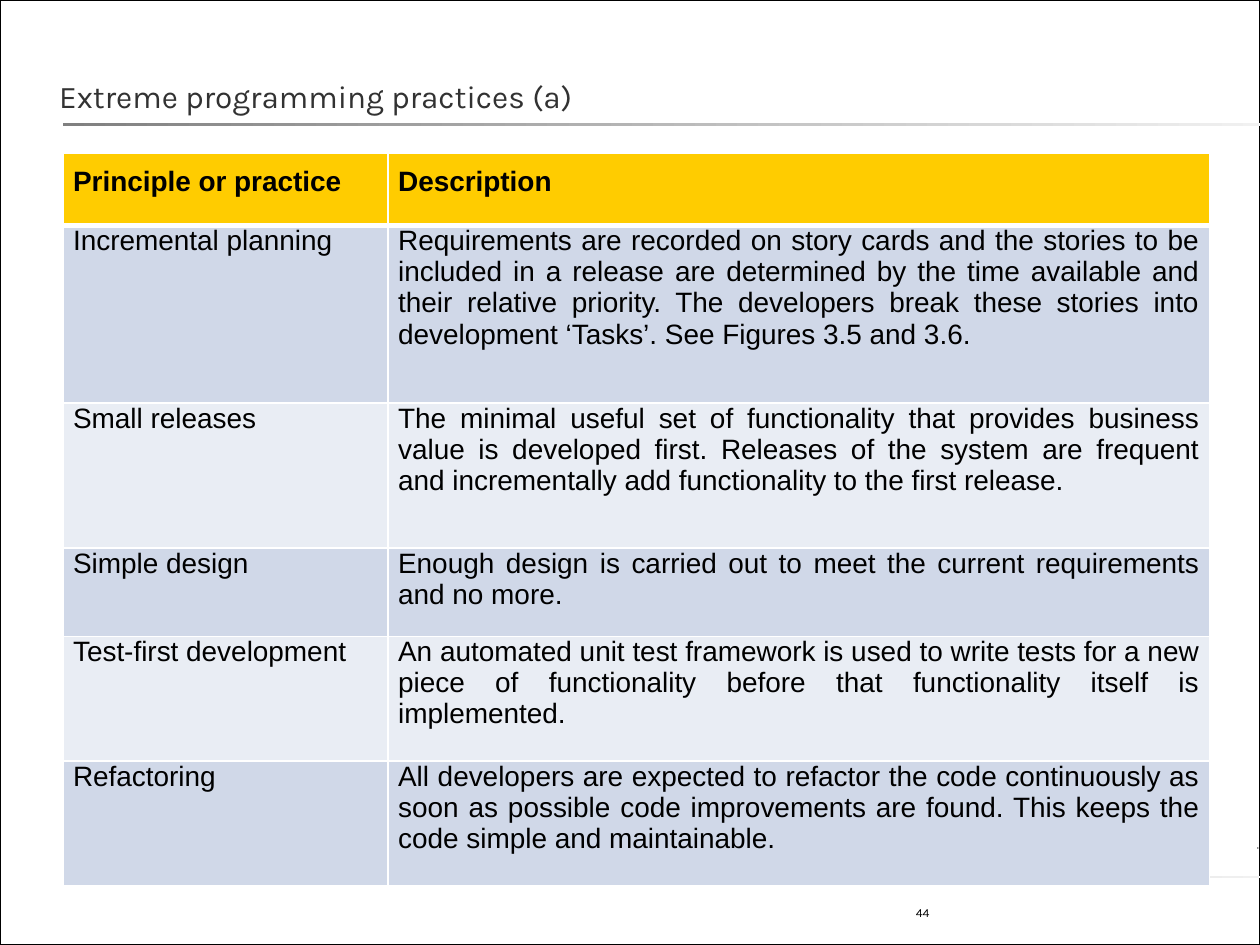
from lxml.etree import SubElement
from pptx import Presentation
from pptx.dml.color import RGBColor
from pptx.enum.shapes import MSO_SHAPE
from pptx.enum.text import MSO_ANCHOR, PP_ALIGN
from pptx.oxml.ns import qn
from pptx.util import Inches, Pt

WHITE, BLACK = "FFFFFF", "000000"
HEADER_FILL = "FFCC00"
BAND_FILLS = ("E9EDF4", "D0D8E8")
COLUMN_WIDTHS = (2.58, 6.52)
ROW_HEIGHTS = (0.57, 1.41, 1.15, 0.7, 0.99, 0.99)
PRACTICES = (
    ("Principle or practice", "Description"),
    ("Incremental planning",
     "Requirements are recorded on story cards and the stories to be included in a release "
     "are determined by the time available and their relative priority. The developers break "
     "these stories into development ‘Tasks’. See Figures 3.5 and 3.6."),
    ("Small releases",
     "The minimal useful set of functionality that provides business value is developed first. "
     "Releases of the system are frequent and incrementally add functionality to the first "
     "release."),
    ("Simple design ",
     "Enough design is carried out to meet the current requirements and no more."),
    ("Test-first development",
     "An automated unit test framework is used to write tests for a new piece of functionality "
     "before that functionality itself is implemented."),
    ("Refactoring",
     "All developers are expected to refactor the code continuously as soon as possible code "
     "improvements are found. This keeps the code simple and maintainable."),
)


def color(value):
    return RGBColor.from_string(value)


def format_text(para, font, size, text_color, bold=False):
    for span in para.runs:
        span.font.name = font
        span.font.size = Pt(size)
        span.font.bold = bold
        span.font.color.rgb = color(text_color)


def set_insets(target, left, top, right, bottom):
    target.margin_left, target.margin_top = Inches(left), Inches(top)
    target.margin_right, target.margin_bottom = Inches(right), Inches(bottom)


def add_rectangle(page, left, top, width, height):
    box = page.shapes.add_shape(MSO_SHAPE.RECTANGLE, Inches(left), Inches(top),
                                Inches(width), Inches(height))
    box.shadow.inherit = False
    box.line.fill.background()
    return box


def add_gradient_bar(page, left, top, width, height, end_color):
    fill = add_rectangle(page, left, top, width, height).fill
    fill.gradient()
    fill.gradient_angle = 0
    for stop, (position, value) in zip(fill.gradient_stops, ((0, "808080"), (1, end_color))):
        stop.position = position
        stop.color.rgb = color(value)


def add_text(page, left, top, width, height, text, size, text_color, insets):
    box = page.shapes.add_textbox(Inches(left), Inches(top), Inches(width), Inches(height))
    frame = box.text_frame
    frame.word_wrap = True
    frame.vertical_anchor = MSO_ANCHOR.BOTTOM
    set_insets(frame, *insets)
    frame.text = text
    para = frame.paragraphs[0]
    format_text(para, "Karla", size, text_color)
    return para


def set_borders(cell, widths):
    """Draw white borders; widths are points for left, right, top and bottom."""
    properties = cell._tc.get_or_add_tcPr()
    for index, (side, width) in enumerate(zip("LRTB", widths)):
        line = SubElement(properties, qn(f"a:ln{side}"), w=str(Pt(width)))
        fill = SubElement(line, qn("a:solidFill"))
        SubElement(fill, qn("a:srgbClr"), val=WHITE)
        properties.insert(index, line)  # borders come before the cell fill


def format_cell(cell, text, row):
    is_header = row == 0
    cell.text = text
    para = cell.text_frame.paragraphs[0]
    para.alignment = PP_ALIGN.JUSTIFY
    format_text(para, "Arial", 16, BLACK, bold=is_header)
    set_insets(cell, 0.08, 0.1 if is_header else 0, 0.08, 0.1)
    cell.fill.solid()
    cell.fill.fore_color.rgb = color(HEADER_FILL if is_header else BAND_FILLS[row % 2])
    set_borders(cell, (1, 1, 3 if row == 1 else 1, 3 if is_header else 1))


def add_practice_table(page, left, top):
    table = page.shapes.add_table(len(PRACTICES), len(COLUMN_WIDTHS), Inches(left), Inches(top),
                                  Inches(sum(COLUMN_WIDTHS)), Inches(sum(ROW_HEIGHTS))).table
    for column, width in zip(table.columns, COLUMN_WIDTHS):
        column.width = Inches(width)
    for row, (texts, height) in enumerate(zip(PRACTICES, ROW_HEIGHTS)):
        table.rows[row].height = Inches(height)
        for column, text in enumerate(texts):
            format_cell(table.cell(row, column), text, row)


def main():
    deck = Presentation()
    deck.slide_width, deck.slide_height = Inches(10), Inches(7.5)
    page = deck.slides.add_slide(deck.slide_layouts[6])

    # Background and frame
    page.background.fill.solid()
    page.background.fill.fore_color.rgb = color("EAEAEA")
    backdrop = add_rectangle(page, 0, 0, 10, 7.5)
    backdrop.fill.solid()
    backdrop.fill.fore_color.rgb = color(WHITE)
    add_gradient_bar(page, 9.98, 6.72, 0.01, 0.02, "E1E1E1")
    frame = add_rectangle(page, 0, 0, 10, 7.5)
    frame.fill.background()
    frame.line.color.rgb = color(BLACK)
    frame.line.width = Pt(1)

    # Rules under the title and above the footer
    for top in (0.98, 6.95):
        add_gradient_bar(page, 0.5, top, 9.53, 0.02, "F1F1F1")

    # Title, table and page number
    title = add_text(page, 0.47, 0.08, 9.03, 0.83, "Extreme programming practices (a)",
                     18, "323232", (0, 0, 0, 0))
    title.line_spacing = Pt(26)
    add_practice_table(page, 0.5, 1.22)
    add_text(page, 7.17, 6.95, 2.33, 0.4, "44", 7, BLACK, (0.1, 0.05, 0.1, 0.05))

    deck.save("out.pptx")


if __name__ == "__main__":
    main()
